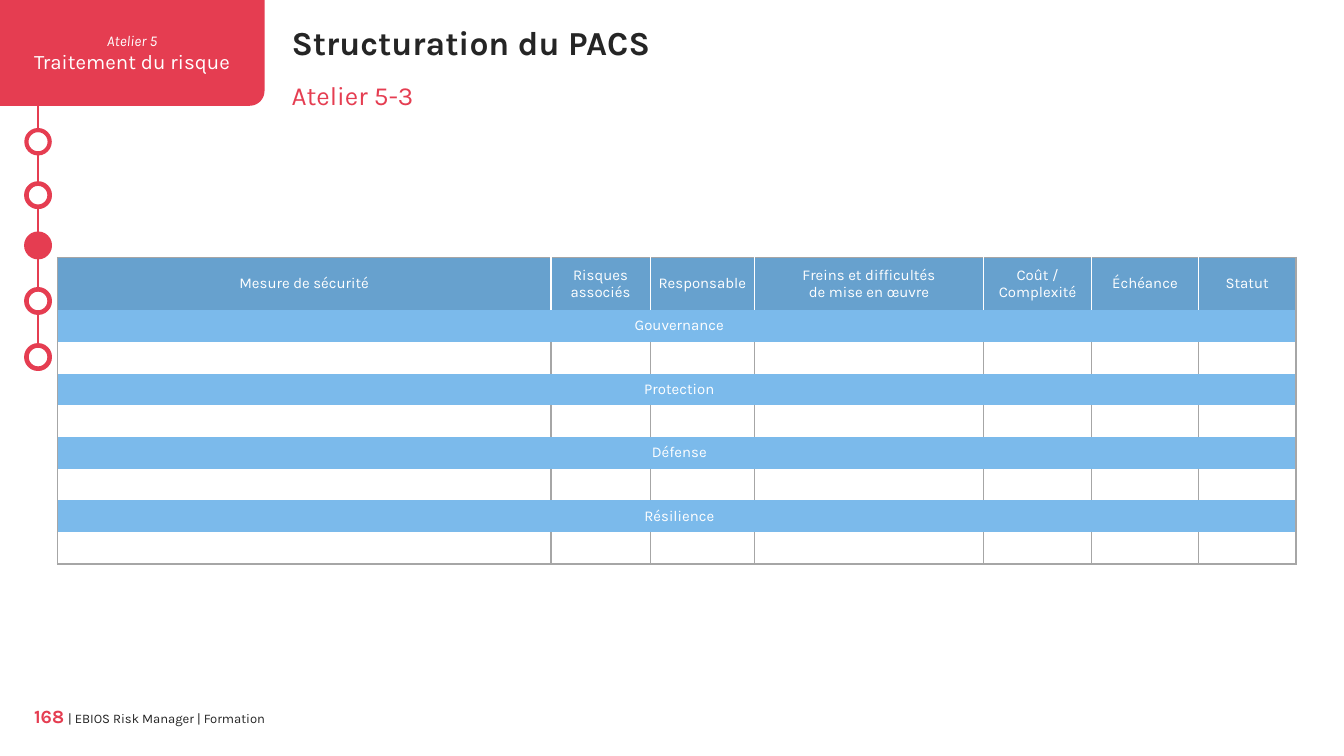
"""Build the PACS structure slide of EBIOS Risk Manager workshop 5."""
import math
from typing import NamedTuple, Optional

from lxml import etree
from pptx import Presentation
from pptx import util as u
from pptx.dml.color import RGBColor
from pptx.enum import shapes, text
from pptx.oxml import ns

RED = RGBColor(0xE5, 0x3D, 0x51)
INK = RGBColor(0x25, 0x25, 0x25)
WHITE = RGBColor(0xFF, 0xFF, 0xFF)
GREY = RGBColor(0xA6, 0xA6, 0xA6)
HEAD_BLUE = RGBColor(0x67, 0xA1, 0xCE)
BAND_BLUE = RGBColor(0x7B, 0xBA, 0xEB)
FONT = "Karla"
NO_STYLE = "{2D5ABB26-0587-4C30-8999-92F81FD0307C}"


class Step(NamedTuple):
    y: float
    width: float = 2.5
    current: bool = False


class Column(NamedTuple):
    title: str
    width: float


class Label(NamedTuple):
    text: str
    top: float
    width: float
    height: float
    size: float
    color: RGBColor
    bold: bool = False


STEPS = [Step(2.68, 2.25), Step(3.69), Step(4.64, current=True), Step(5.69), Step(6.75)]
COLUMNS = [
    Column("Mesure de sécurité", 9.32),
    Column("Risques associés", 1.88),
    Column("Responsable", 1.97),
    Column("Freins et difficultés\vde mise en œuvre", 4.33),
    Column("Coût / Complexité", 2.04),
    Column("Échéance", 2.02),
    Column("Statut", 1.84),
]
BANDS = ["Gouvernance", "Protection", "Défense", "Résilience"]
LABELS = [
    Label("Structuration du PACS", 0.41, 19, 0.76, 18, INK, True),
    Label("Atelier 5-3", 1.5, 17.88, 0.61, 14, RED),
]


def set_font(item, size: float, color: RGBColor, bold: bool = False, italic: bool = False) -> None:
    f = item.font
    f.name, f.size, f.bold, f.italic = FONT, u.Pt(size), bold, italic
    f.color.rgb = color


def add_text_box(s, left: float, top: float, width: float, height: float):
    tf = s.shapes.add_textbox(u.Cm(left), u.Cm(top), u.Cm(width), u.Cm(height)).text_frame
    tf.word_wrap = True
    tf.margin_left = tf.margin_top = tf.margin_right = tf.margin_bottom = 0
    return tf


def add_timeline(s, x: float, diameter: float = 0.44) -> None:
    rail = s.shapes.add_connector(
        shapes.MSO_CONNECTOR.STRAIGHT, u.Cm(x), u.Cm(1.7), u.Cm(x), u.Cm(6.95))
    rail.line.color.rgb = RED
    rail.line.width = u.Pt(1.25)
    etree.SubElement(rail._element.spPr, ns.qn("a:effectLst"))
    for step in STEPS:
        sp = s.shapes.add_shape(
            shapes.MSO_SHAPE.OVAL, u.Cm(x - diameter / 2), u.Cm(step.y - diameter / 2),
            u.Cm(diameter), u.Cm(diameter))
        sp.shadow.inherit = False
        sp.fill.solid()
        sp.fill.fore_color.rgb = RED if step.current else WHITE
        sp.line.color.rgb = RED
        sp.line.width = u.Pt(step.width)


def add_banner(s, width: float, height: float, radius: float) -> None:
    angles = [math.radians(a) for a in range(0, 91, 6)]
    corner = [(u.Cm(width - radius + radius * math.cos(a)),
               u.Cm(height - radius + radius * math.sin(a))) for a in angles]
    outline = s.shapes.build_freeform(0, 0)
    outline.add_line_segments([(u.Cm(width), 0), *corner, (0, u.Cm(height))], close=True)
    sp = outline.convert_to_shape()
    sp.shadow.inherit = False
    sp.fill.solid()
    sp.fill.fore_color.rgb = RED
    sp.line.fill.background()
    tf = sp.text_frame
    tf.word_wrap = True
    tf.vertical_anchor = text.MSO_ANCHOR.MIDDLE
    tf.text = "Atelier 5\nTraitement du risque"
    for p, size, italic in zip(tf.paragraphs, (8, 11), (True, False)):
        p.alignment = text.PP_ALIGN.CENTER
        set_font(p, size, WHITE, italic=italic)


def add_footer(s) -> None:
    p = add_text_box(s, 0.51, 13.33, 4.5, 0.51).paragraphs[0]
    p.alignment = text.PP_ALIGN.RIGHT
    for words, size, color, bold in (
            ("168", 10, RED, True),
            (" ", 9, INK, False),
            ("| EBIOS Risk Manager | Formation", 7, INK, False)):
        r = p.add_run()
        r.text = words
        set_font(r, size, color, bold)


def set_border(cell, side: str, color: Optional[RGBColor]) -> None:
    ln = etree.SubElement(cell._tc.get_or_add_tcPr(), ns.qn(f"a:ln{side}"), w=str(u.Pt(1)))
    if color is None:
        etree.SubElement(ln, ns.qn("a:noFill"))
    else:
        fill = etree.SubElement(ln, ns.qn("a:solidFill"))
        etree.SubElement(fill, ns.qn("a:srgbClr"), val=str(color))


def style_cell(cell, words: str, fill: RGBColor, borders: dict) -> None:
    cell.margin_left = cell.margin_top = cell.margin_right = cell.margin_bottom = 0
    cell.vertical_anchor = text.MSO_ANCHOR.MIDDLE
    for side in "LRTB":
        set_border(cell, side, borders.get(side))
    cell.fill.solid()
    cell.fill.fore_color.rgb = fill
    p = cell.text_frame.paragraphs[0]
    if words:
        p.text = words
        p.alignment = text.PP_ALIGN.CENTER
        set_font(p, 8, WHITE)
    else:
        p._p.get_or_add_endParaRPr().set("sz", "800")


def add_measures_table(s) -> None:
    heights = [0.99] + [0.6] * (2 * len(BANDS))
    tbl = s.shapes.add_table(
        len(heights), len(COLUMNS), u.Cm(1.09), u.Cm(4.87),
        u.Cm(sum(c.width for c in COLUMNS)), u.Cm(sum(heights))).table
    tbl.first_row = tbl.horz_banding = False
    tbl._tbl.tblPr.find(ns.qn("a:tableStyleId")).text = NO_STYLE
    for row, height in zip(tbl.rows, heights):
        row.height = u.Cm(height)
    last_row, last_col = len(heights) - 1, len(COLUMNS) - 1
    for j, column in enumerate(COLUMNS):
        tbl.columns[j].width = u.Cm(column.width)
        for i in range(len(heights)):
            band = i % 2 == 1
            if i == 0:
                words, fill, inner = column.title, HEAD_BLUE, WHITE
            elif band:
                words, fill, inner = BANDS[i // 2] if j == 0 else "", BAND_BLUE, None
            else:
                words, fill, inner = "", WHITE, GREY
            borders = {"L": GREY if j == 0 else inner,
                       "R": GREY if j == last_col else inner,
                       "T": GREY if i == 0 else None,
                       "B": GREY if i == last_row else None}
            style_cell(tbl.cell(i, j), words, fill, borders)
    for i in range(1, last_row, 2):
        band_cell = tbl.cell(i, 0)
        band_cell.merge(tbl.cell(i, last_col))
        band_cell.margin_left, band_cell.margin_right = u.Cm(0.3), u.Cm(0.2)
        set_right = band_cell._tc.tcPr.find(ns.qn("a:lnR"))
        set_right.getparent().remove(set_right)
        set_border(band_cell, "R", GREY)
        tc_pr = band_cell._tc.tcPr
        tc_pr.insert(1, tc_pr[-1])


def add_label(s, label: Label) -> None:
    p = add_text_box(s, 5.51, label.top, label.width, label.height).paragraphs[0]
    p.text = label.text
    set_font(p, label.size, label.color, label.bold)


def main() -> None:
    prs = Presentation()
    prs.slide_width, prs.slide_height = u.Cm(25.4), u.Cm(14.29)
    s = prs.slides.add_slide(prs.slide_layouts[6])
    add_timeline(s, 0.72)
    add_banner(s, 5, 2, 0.28)
    add_footer(s)
    add_measures_table(s)
    for label in LABELS:
        add_label(s, label)
    prs.save("out.pptx")


if __name__ == "__main__":
    main()
